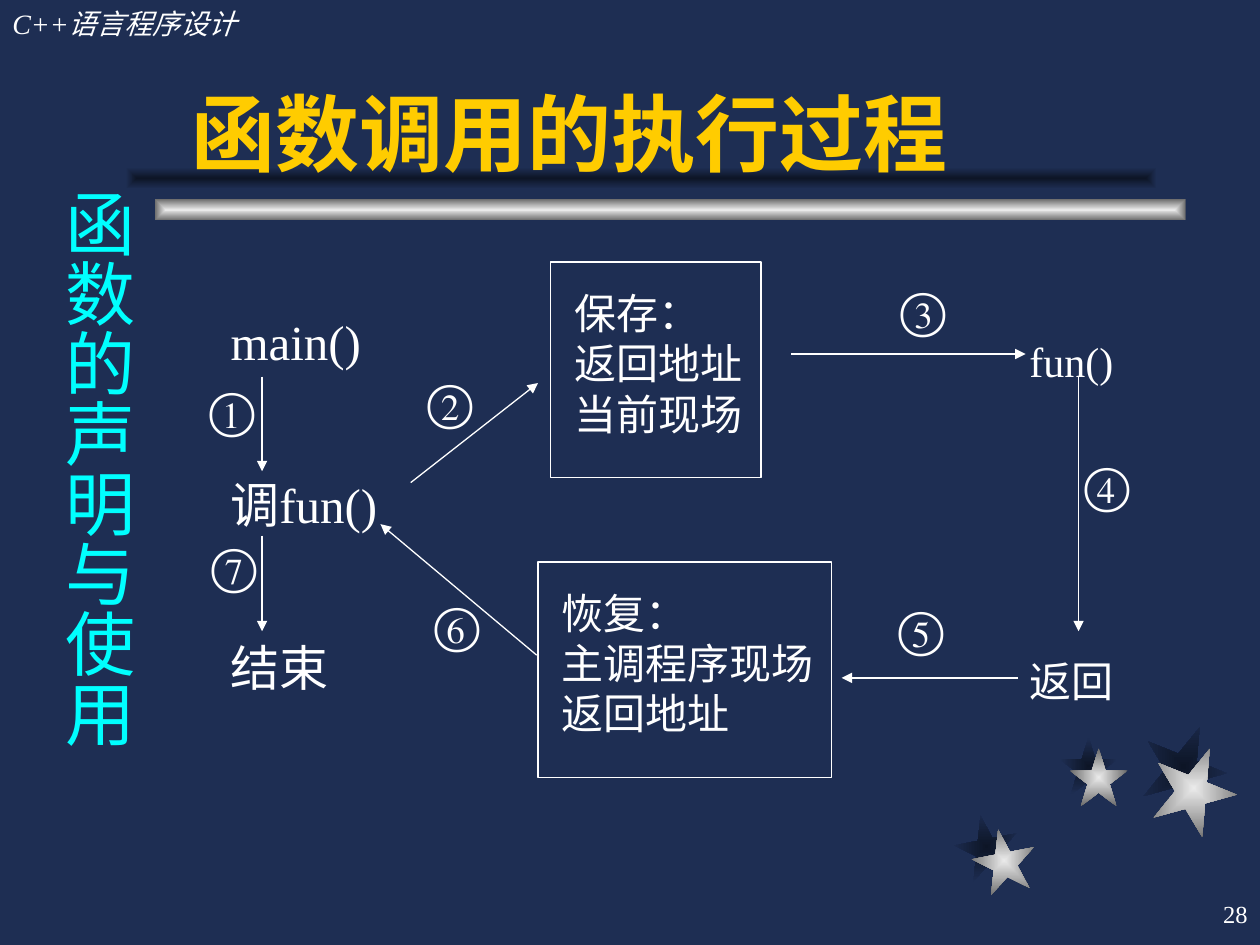
from dataclasses import dataclass

from lxml import etree
from pptx import Presentation
from pptx.dml.color import RGBColor
from pptx.enum import shapes, text
from pptx.oxml import ns
from pptx.util import Inches, Pt


@dataclass(frozen=True)
class Theme:
    background: str = "1E2E53"
    ink: str = "FFFFFF"
    title: str = "FFCC00"
    chapter: str = "00FFFF"
    silver: tuple = ("EAEAEA", "6B6B6B")
    shade: tuple = ("0D1526", "1E2E53")
    heading_font: str = "Arial"
    body_font: str = "Times New Roman"
    title_size: int = 48
    chapter_size: int = 40
    step_size: int = 28
    box_size: int = 24
    course_size: int = 16
    number_size: int = 14
    line_width: float = 0.75


THEME = Theme()
ALIGN = text.PP_ALIGN
ANCHOR = text.MSO_ANCHOR


def rgb(value):
    return RGBColor.from_string(value)


def write(frame, lines, size, color=THEME.ink, font=THEME.body_font,
          align=ALIGN.LEFT, anchor=ANCHOR.TOP, insets=(0, 0, 0, 0),
          bold=False, italic=False):
    """Fill a text frame, one paragraph per line; insets are left, top, right, bottom."""
    frame.word_wrap = True
    frame.auto_size = text.MSO_AUTO_SIZE.NONE
    frame.vertical_anchor = anchor
    (frame.margin_left, frame.margin_top,
     frame.margin_right, frame.margin_bottom) = map(Inches, insets)
    for index, line in enumerate(lines):
        paragraph = frame.add_paragraph() if index else frame.paragraphs[0]
        paragraph.alignment = align
        run = paragraph.add_run()
        run.text = line
        run.font.size = Pt(size)
        run.font.name = font
        run.font.bold = bold
        run.font.italic = italic
        run.font.color.rgb = rgb(color)


def add_text(slide, at, content, size, **style):
    label = slide.shapes.add_textbox(*map(Inches, at))
    write(label.text_frame, [content], size, **style)
    return label


def add_gradient_shape(slide, kind, at, colors, rotation=0):
    """Add a borderless shape shaded from its centre to its edges."""
    shape = slide.shapes.add_shape(kind, *map(Inches, at))
    shape.shadow.inherit = False
    shape.rotation = rotation
    shape.line.fill.background()
    shape.fill.gradient()
    for stop, color, position in zip(shape.fill.gradient_stops, colors, (0, 1)):
        stop.color.rgb = rgb(color)
        stop.position = position
    gradient = shape.element.spPr.find(ns.qn("a:gradFill"))
    gradient.remove(gradient.find(ns.qn("a:lin")))
    focus = etree.SubElement(gradient, ns.qn("a:path"), path="rect")
    etree.SubElement(focus, ns.qn("a:fillToRect"),
                     dict.fromkeys("ltrb", "50000"))


def add_arrow(slide, start, end):
    arrow = slide.shapes.add_connector(
        shapes.MSO_CONNECTOR.STRAIGHT, *map(Inches, start + end))
    arrow.line.color.rgb = rgb(THEME.ink)
    arrow.line.width = Pt(THEME.line_width)
    etree.SubElement(arrow.line._get_or_add_ln(), ns.qn("a:tailEnd"), type="triangle")
    etree.SubElement(arrow.element.spPr, ns.qn("a:effectLst"))


def add_box(slide, at, lines):
    box = slide.shapes.add_shape(shapes.MSO_SHAPE.RECTANGLE, *map(Inches, at))
    box.shadow.inherit = False
    box.fill.background()
    box.line.color.rgb = rgb(THEME.ink)
    box.line.width = Pt(THEME.line_width)
    write(box.text_frame, lines, THEME.box_size, align=ALIGN.JUSTIFY,
          insets=(0.19, 0.2, 0, 0))


def add_decoration(slide):
    star = shapes.MSO_SHAPE.STAR_5_POINT
    bar = shapes.MSO_SHAPE.RECTANGLE
    shadow_stars = ((7.58, 6.47, 0.5, 349), (8.41, 5.85, 0.46, 0), (9.06, 5.75, 0.67, 22))
    silver_stars = ((7.72, 6.58, 0.5, 349), (8.49, 5.94, 0.46, 0), (9.14, 5.92, 0.67, 22))
    for colors, stars in ((THEME.shade, shadow_stars), (THEME.silver, silver_stars)):
        for left, top, side, rotation in stars:
            add_gradient_shape(slide, star, (left, top, side, side), colors, rotation)
    add_gradient_shape(slide, bar, (1.23, 1.58, 8.18, 0.17), THEME.silver)
    add_gradient_shape(slide, bar, (1, 1.33, 8.18, 0.17), THEME.shade)


def add_headings(slide):
    margins = (0.1, 0.05, 0.1, 0.05)
    add_text(slide, (0, 0, 3.08, 0.37), "C++语言程序设计", THEME.course_size,
             insets=margins, italic=True)

    title = slide.shapes.title
    title.left, title.top, title.width, title.height = map(
        Inches, (1.42, 0.25, 7.83, 1.25))
    write(title.text_frame, ["函数调用的执行过程"], THEME.title_size,
          color=THEME.title, font=THEME.heading_font, anchor=ANCHOR.BOTTOM,
          insets=margins, bold=True)
    # The title lies above the bars
    title.element.getparent().append(title.element)

    chapter = add_text(slide, (0.3, 1.4, 0.86, 5.02), "函数的声明与使用",
                       THEME.chapter_size, color=THEME.chapter,
                       insets=(0.05, 0.1, 0.05, 0.1))
    chapter.text_frame._txBody.bodyPr.set("vert", "eaVert")

    add_text(slide, (7.92, 7, 2.08, 0.5), "28", THEME.number_size,
             align=ALIGN.RIGHT, anchor=ANCHOR.MIDDLE, insets=margins)


def add_call_flow(slide):
    caller = (1.83, 1.5, THEME.step_size,
              (("main()", 2.71), ("调fun()", 4.0), ("结束", 5.29)))
    callee = (8.17, 1.1, THEME.box_size, (("fun()", 2.86), ("返回", 5.4)))
    height = 0.6
    for left, width, size, labels in (caller, callee):
        for label, middle in labels:
            add_text(slide, (left, middle - height / 2, width, height), label,
                     size, anchor=ANCHOR.MIDDLE)

    add_box(slide, (4.37, 2.08, 1.67, 1.71), ["保存：", "返回地址", "当前现场"])
    add_box(slide, (4.27, 4.46, 2.33, 1.71), ["恢复：", "主调程序现场", "返回地址"])

    steps = (
        ("①", (1.66, 3.01), (2.08, 2.99), (2.08, 3.74)),
        ("②", (3.39, 2.95), (3.26, 3.83), (4.27, 3.04)),
        ("③", (7.15, 2.22), (6.28, 2.81), (8.14, 2.81)),
        ("④", (8.61, 3.61), (8.56, 2.99), (8.56, 5.01)),
        ("⑤", (7.13, 4.75), (8.08, 5.38), (6.68, 5.38)),
        ("⑥", (3.45, 4.72), (4.26, 5.2), (3.02, 4.16)),
        ("⑦", (1.68, 4.25), (2.08, 4.25), (2.08, 5.01)),
    )
    for number, corner, start, end in steps:
        add_arrow(slide, start, end)
        add_text(slide, corner + (0.4, 0.51), number, THEME.step_size,
                 align=ALIGN.JUSTIFY)


def main():
    deck = Presentation()
    deck.slide_width, deck.slide_height = Inches(10), Inches(7.5)
    slide = deck.slides.add_slide(deck.slide_layouts.get_by_name("Title Only"))
    slide.background.fill.solid()
    slide.background.fill.fore_color.rgb = rgb(THEME.background)
    add_decoration(slide)
    add_headings(slide)
    add_call_flow(slide)
    deck.save("out.pptx")


if __name__ == "__main__":
    main()
